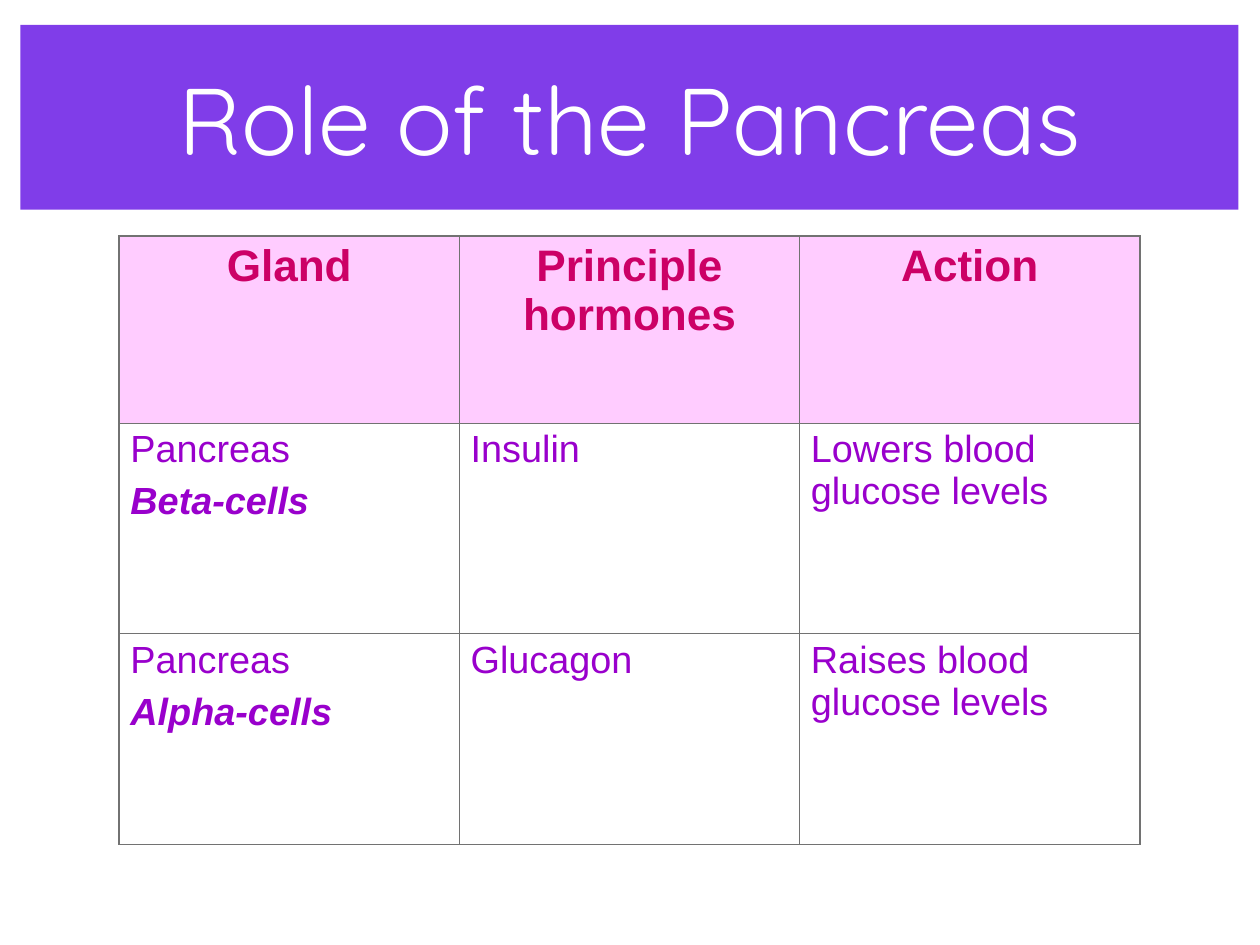
from dataclasses import dataclass

from lxml import etree
from pptx import Presentation
from pptx import util as u
from pptx.dml.color import RGBColor
from pptx.enum import text
from pptx.oxml.ns import qn

PX = 9144  # EMU in one px, 100 px to the inch
SLIDE_SIZE = (u.Emu(10158413), u.Emu(7621588))


@dataclass(frozen=True)
class Theme:
    title_fill: str = "803DE9"
    title_color: str = "FFFFFF"
    header_fill: str = "FFCCFF"
    header_color: str = "CC0066"
    body_color: str = "9900CC"
    border_color: str = "727272"
    title_font: str = "Quicksand"
    table_font: str = "Arial"
    title_size: int = 60
    header_size: int = 28
    body_size: int = 24
    outer_line: float = 1.08
    inner_line: float = 0.45


@dataclass(frozen=True)
class Hormone:
    gland: str
    cells: str
    name: str
    action: str


THEME = Theme()
HEADERS = ("Gland", "Principle hormones", "Action")
HORMONES = (
    Hormone("Pancreas", "Beta-cells", "Insulin", "Lowers blood glucose levels"),
    Hormone("Pancreas", "Alpha-cells", "Glucagon", "Raises blood glucose levels"),
)
COLUMN_WIDTH = 300
ROW_HEIGHTS = (165, 186, 186)


def px(length: int) -> u.Emu:
    return u.Emu(length * PX)


def set_slide_size(presentation) -> None:
    """Set a custom size and drop the template's 4:3 screen label."""
    presentation.slide_width, presentation.slide_height = SLIDE_SIZE
    size = presentation.element.find(qn("p:sldSz"))
    size.attrib.pop("type", None)


def style_run(run, font: str, size: int, color: str, bold=False, italic=False) -> None:
    run.font.name = font
    run.font.size = u.Pt(size)
    run.font.color.rgb = RGBColor.from_string(color)
    run.font.bold = bold
    run.font.italic = italic


def add_title(slide, wording: str) -> None:
    title = slide.shapes.title
    title.left, title.top, title.width, title.height = map(px, (18, 22, 1074, 163))
    title.fill.solid()
    title.fill.fore_color.rgb = RGBColor.from_string(THEME.title_fill)
    frame = title.text_frame
    frame.text = wording
    frame.auto_size = text.MSO_AUTO_SIZE.NONE
    frame.vertical_anchor = text.MSO_ANCHOR.MIDDLE
    frame.margin_left = frame.margin_right = px(4)
    frame.margin_top = frame.margin_bottom = px(4)
    paragraph = frame.paragraphs[0]
    paragraph.alignment = text.PP_ALIGN.CENTER
    style_run(paragraph.runs[0], THEME.title_font, THEME.title_size, THEME.title_color)


def set_borders(cell, row: int, column: int) -> None:
    """Draw the table's outer edges thicker than its inner lines."""
    outer_edges = {
        "a:lnL": column == 0,
        "a:lnR": column == len(HEADERS) - 1,
        "a:lnT": row == 0,
        "a:lnB": row == len(HORMONES),
    }
    properties = cell._tc.get_or_add_tcPr()
    for tag, is_outer in outer_edges.items():
        width = u.Pt(THEME.outer_line if is_outer else THEME.inner_line)
        line = etree.SubElement(properties, qn(tag), w=str(int(width)))
        fill = etree.SubElement(line, qn("a:solidFill"))
        etree.SubElement(fill, qn("a:srgbClr"), val=THEME.border_color)


def fill_header(cell, wording: str) -> None:
    cell.fill.solid()
    cell.fill.fore_color.rgb = RGBColor.from_string(THEME.header_fill)
    cell.text_frame.text = wording
    paragraph = cell.text_frame.paragraphs[0]
    paragraph.alignment = text.PP_ALIGN.CENTER
    style_run(paragraph.runs[0], THEME.table_font, THEME.header_size,
              THEME.header_color, bold=True)


def fill_body(cell, wording: str, emphasis: str = "") -> None:
    """Write the wording, with the emphasis below it in bold italics."""
    cell.fill.background()
    frame = cell.text_frame
    frame.text = wording
    style_run(frame.paragraphs[0].runs[0], THEME.table_font, THEME.body_size,
              THEME.body_color)
    if emphasis:
        paragraph = frame.add_paragraph()
        paragraph.text = emphasis
        paragraph.space_before = u.Pt(6)
        style_run(paragraph.runs[0], THEME.table_font, THEME.body_size,
                  THEME.body_color, bold=True, italic=True)


def add_hormone_table(slide) -> None:
    columns = len(HEADERS)
    frame = slide.shapes.add_table(
        len(ROW_HEIGHTS), columns, px(105), px(208),
        px(columns * COLUMN_WIDTH), px(sum(ROW_HEIGHTS)))
    table = frame.table
    table.first_row = table.horz_banding = False
    for table_column in table.columns:
        table_column.width = px(COLUMN_WIDTH)
    for row, height in enumerate(ROW_HEIGHTS):
        table.rows[row].height = px(height)
        for column in range(columns):
            set_borders(table.cell(row, column), row, column)
    for column, header in enumerate(HEADERS):
        fill_header(table.cell(0, column), header)
    for row, hormone in enumerate(HORMONES, start=1):
        fill_body(table.cell(row, 0), hormone.gland, hormone.cells)
        fill_body(table.cell(row, 1), hormone.name)
        fill_body(table.cell(row, 2), hormone.action)


def main() -> None:
    presentation = Presentation()
    set_slide_size(presentation)
    title_only = presentation.slide_layouts[5]
    slide = presentation.slides.add_slide(title_only)
    add_title(slide, "Role of the Pancreas")
    add_hormone_table(slide)
    presentation.save("out.pptx")


if __name__ == "__main__":
    main()
